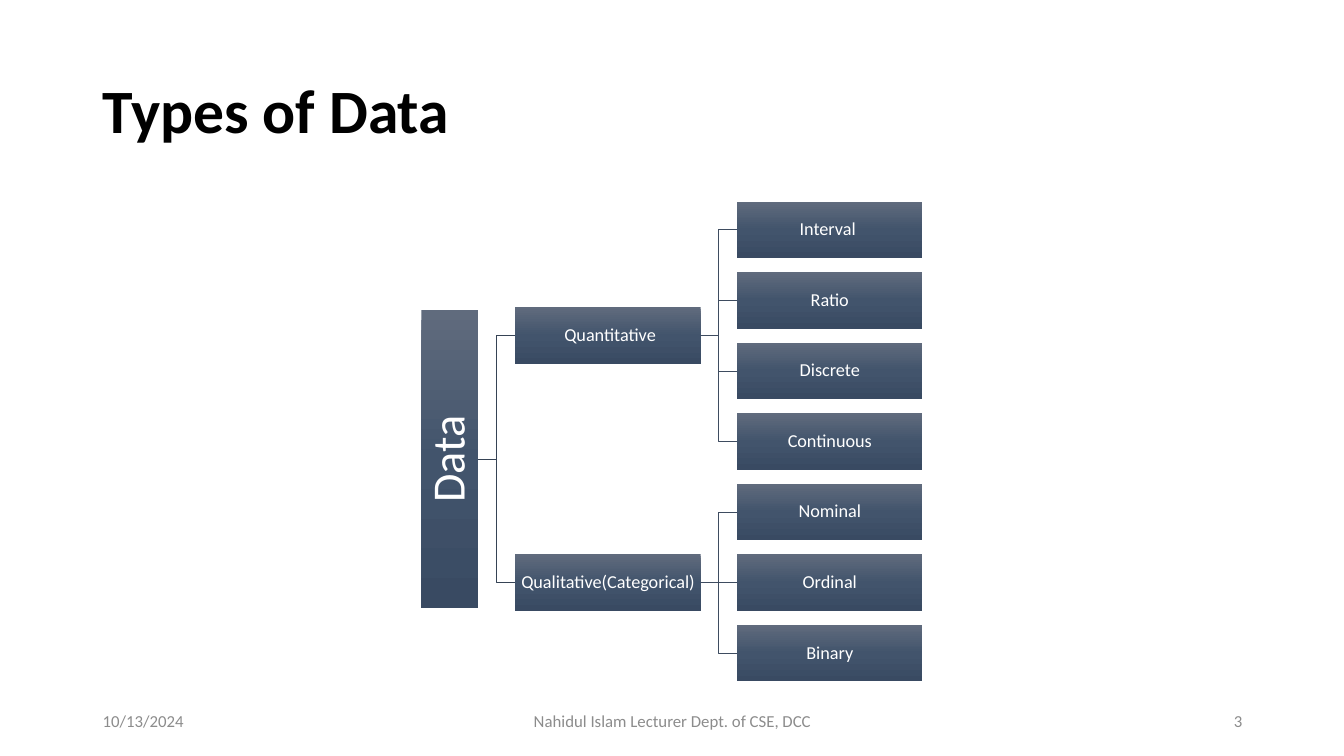
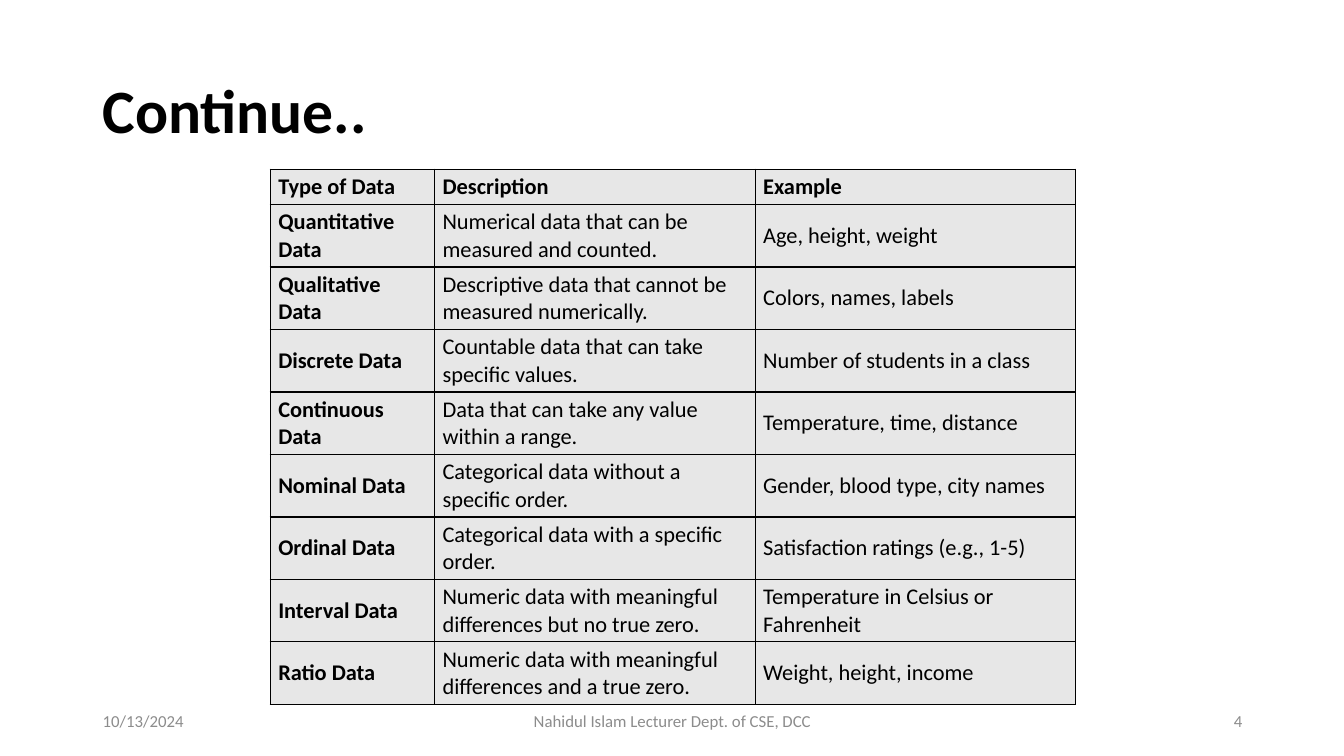
"""Builds two slides on the types of data: a hierarchy and a table of definitions."""

from dataclasses import dataclass

from lxml import etree
from pptx import Presentation
from pptx.dml.color import RGBColor
from pptx.enum.shapes import MSO_CONNECTOR, MSO_SHAPE
from pptx.enum.text import MSO_ANCHOR, PP_ALIGN
from pptx.oxml.ns import qn
from pptx.presentation import Presentation as Deck
from pptx.shapes.autoshape import Shape
from pptx.slide import Slide
from pptx.text.text import TextFrame
from pptx.util import Inches, Pt

RECTANGLE = MSO_SHAPE.RECTANGLE
STRAIGHT, ELBOW = MSO_CONNECTOR.STRAIGHT, MSO_CONNECTOR.ELBOW
MIDDLE = MSO_ANCHOR.MIDDLE
LEFT, CENTER, RIGHT = PP_ALIGN.LEFT, PP_ALIGN.CENTER, PP_ALIGN.RIGHT
LEFT_SIDE, RIGHT_SIDE = 1, 3

BLACK = RGBColor(0x00, 0x00, 0x00)
WHITE = RGBColor(0xFF, 0xFF, 0xFF)
FOOTER_GRAY = RGBColor(0x8C, 0x8C, 0x8C)
CELL_GRAY = RGBColor(0xE7, 0xE7, 0xE7)
ROOT_LINE = RGBColor(0x36, 0x43, 0x55)
BRANCH_LINE = RGBColor(0x3E, 0x4C, 0x60)
BOX_GRADIENT = (
    (0, RGBColor(0x60, 0x6B, 0x7D)),
    (50, RGBColor(0x42, 0x54, 0x6C)),
    (100, RGBColor(0x39, 0x4A, 0x62)),
)

FONT = "Calibri"
BLANK_LAYOUT = 6
DATE = "10/13/2024"
AUTHOR = "Nahidul Islam Lecturer Dept. of CSE, DCC"

BOX_WIDTH, BOX_HEIGHT = 1.84, 0.56
ROOT_LEFT, BRANCH_LEFT, LEAF_LEFT = 4.18, 5.11, 7.31
ROOT_HEIGHT = 2.95
LEAF_TOP, LEAF_STEP = 2.0, 0.7

COLUMN_WIDTHS = (1.63, 3.18, 3.18)
HEADER_HEIGHT, ROW_HEIGHT = 0.35, 0.62
TABLE_ROWS = (
    ("Type of Data", "Description", "Example"),
    ("Quantitative Data", "Numerical data that can be measured and counted.",
     "Age, height, weight"),
    ("Qualitative Data", "Descriptive data that cannot be measured numerically.",
     "Colors, names, labels"),
    ("Discrete Data", "Countable data that can take specific values.",
     "Number of students in a class"),
    ("Continuous Data", "Data that can take any value within a range.",
     "Temperature, time, distance"),
    ("Nominal Data", "Categorical data without a specific order.",
     "Gender, blood type, city names"),
    ("Ordinal Data", "Categorical data with a specific order.",
     "Satisfaction ratings (e.g., 1-5)"),
    ("Interval Data", "Numeric data with meaningful differences but no true zero.",
     "Temperature in Celsius or Fahrenheit"),
    ("Ratio Data", "Numeric data with meaningful differences and a true zero.",
     "Weight, height, income"),
)


@dataclass(frozen=True)
class TextStyle:
    size: float
    color: RGBColor
    bold: bool = False
    align: PP_ALIGN = LEFT
    line_spacing: float = 1.0


@dataclass(frozen=True)
class Branch:
    label: str
    leaves: tuple[str, ...]


TITLE_STYLE = TextStyle(44, BLACK, bold=True, line_spacing=0.9)
ROOT_STYLE = TextStyle(33, WHITE, align=CENTER, line_spacing=0.9)
BOX_STYLE = TextStyle(13, WHITE, align=CENTER, line_spacing=0.9)
CELL_STYLE = TextStyle(16, BLACK)
HEADING_STYLE = TextStyle(16, BLACK, bold=True)

BRANCHES = (
    Branch(" Quantitative", ("Interval ", "Ratio", "Discrete", "Continuous")),
    Branch("Qualitative(Categorical)", ("Nominal", "Ordinal", "Binary")),
)


def write_text(frame: TextFrame, text: str, style: TextStyle) -> None:
    frame.word_wrap = True
    paragraph = frame.paragraphs[0]
    paragraph.alignment = style.align
    paragraph.line_spacing = style.line_spacing
    run = paragraph.add_run()
    run.text = text
    run.font.name = FONT
    run.font.size = Pt(style.size)
    run.font.bold = style.bold
    run.font.color.rgb = style.color


def add_text(slide: Slide, left: float, top: float, width: float, height: float,
             text: str, style: TextStyle) -> None:
    shape = slide.shapes.add_textbox(
        Inches(left), Inches(top), Inches(width), Inches(height))
    shape.text_frame.vertical_anchor = MIDDLE
    write_text(shape.text_frame, text, style)


def add_page(presentation: Deck, title: str, number: int) -> Slide:
    slide = presentation.slides.add_slide(presentation.slide_layouts[BLANK_LAYOUT])
    add_text(slide, 0.92, 0.4, 11.5, 1.45, title, TITLE_STYLE)
    for left, width, text, align in (
        (0.92, 3, DATE, LEFT),
        (4.42, 4.5, AUTHOR, CENTER),
        (9.42, 3, str(number), RIGHT),
    ):
        add_text(slide, left, 6.95, width, 0.4, text,
                 TextStyle(12, FOOTER_GRAY, align=align))
    return slide


def fill_gradient(shape: Shape) -> None:
    shape.fill.gradient()
    shape.fill.gradient_angle = 270
    stops = next(shape.element.iter(qn("a:gsLst")))
    for stop in list(stops):
        stops.remove(stop)
    for position, color in BOX_GRADIENT:
        stop = etree.SubElement(stops, qn("a:gs"), pos=str(position * 1000))
        etree.SubElement(stop, qn("a:srgbClr"), val=str(color))


def add_box(slide: Slide, left: float, center: float, width: float, height: float,
            text: str, style: TextStyle, inset: float = 0.01) -> Shape:
    shape = slide.shapes.add_shape(
        RECTANGLE, Inches(left), Inches(center - height / 2),
        Inches(width), Inches(height))
    shape.shadow.inherit = False
    shape.line.fill.background()
    fill_gradient(shape)
    frame = shape.text_frame
    frame.vertical_anchor = MIDDLE
    frame.margin_left = frame.margin_right = Inches(inset)
    frame.margin_top = frame.margin_bottom = Inches(inset)
    write_text(frame, text, style)
    return shape


def connect(slide: Slide, parent: Shape, child: Shape, color: RGBColor) -> None:
    offset = parent.top + parent.height // 2 - child.top - child.height // 2
    kind = STRAIGHT if abs(offset) < Inches(0.01) else ELBOW
    connector = slide.shapes.add_connector(kind, 0, 0, 0, 0)
    connector.begin_connect(parent, RIGHT_SIDE)
    connector.end_connect(child, LEFT_SIDE)
    connector.line.color.rgb = color
    connector.line.width = Pt(0.5)
    etree.SubElement(connector.element.spPr, qn("a:effectLst"))


def add_hierarchy(slide: Slide) -> None:
    leaf_center = LEAF_TOP + BOX_HEIGHT / 2
    branch_boxes = []
    branch_centers = []
    for branch in BRANCHES:
        centers = [leaf_center + LEAF_STEP * index for index in range(len(branch.leaves))]
        leaf_center = centers[-1] + LEAF_STEP
        branch_center = (centers[0] + centers[-1]) / 2
        branch_box = add_box(slide, BRANCH_LEFT, branch_center, BOX_WIDTH, BOX_HEIGHT,
                             branch.label, BOX_STYLE)
        for label, center in zip(branch.leaves, centers):
            leaf_box = add_box(slide, LEAF_LEFT, center, BOX_WIDTH, BOX_HEIGHT,
                               label, BOX_STYLE)
            connect(slide, branch_box, leaf_box, BRANCH_LINE)
        branch_boxes.append(branch_box)
        branch_centers.append(branch_center)
    root_center = sum(branch_centers) / len(branch_centers)
    root_box = add_box(slide, ROOT_LEFT, root_center, BOX_HEIGHT, ROOT_HEIGHT,
                       "Data", ROOT_STYLE, inset=0.02)
    root_box.element.txBody.bodyPr.set("vert", "vert270")
    for branch_box in branch_boxes:
        connect(slide, root_box, branch_box, ROOT_LINE)


def add_definitions(slide: Slide) -> None:
    row_heights = [HEADER_HEIGHT] + [ROW_HEIGHT] * (len(TABLE_ROWS) - 1)
    graphic_frame = slide.shapes.add_table(
        len(TABLE_ROWS), len(COLUMN_WIDTHS), Inches(2.68), Inches(1.68),
        Inches(sum(COLUMN_WIDTHS)), Inches(sum(row_heights)))
    table = graphic_frame.table
    table.horz_banding = False
    for column, width in zip(table.columns, COLUMN_WIDTHS):
        column.width = Inches(width)
    for row, height in zip(table.rows, row_heights):
        row.height = Inches(height)
    for row_index, texts in enumerate(TABLE_ROWS):
        for column_index, text in enumerate(texts):
            cell = table.cell(row_index, column_index)
            cell.vertical_anchor = MIDDLE
            cell.margin_left = cell.margin_right = Inches(0.08)
            cell.margin_top = cell.margin_bottom = Inches(0.04)
            cell.fill.solid()
            cell.fill.fore_color.rgb = CELL_GRAY
            is_heading = row_index == 0 or column_index == 0
            write_text(cell.text_frame, text,
                       HEADING_STYLE if is_heading else CELL_STYLE)
    for properties in graphic_frame.element.iter(qn("a:tcPr")):
        for index, side in enumerate(("a:lnL", "a:lnR", "a:lnT", "a:lnB")):
            border = etree.Element(qn(side), w=str(Pt(1)))
            fill = etree.SubElement(border, qn("a:solidFill"))
            etree.SubElement(fill, qn("a:srgbClr"), val=str(BLACK))
            properties.insert(index, border)


def main() -> None:
    presentation = Presentation()
    presentation.slide_width = Inches(13.33)
    presentation.slide_height = Inches(7.5)
    add_hierarchy(add_page(presentation, "Types of Data", 3))
    add_definitions(add_page(presentation, "Continue..", 4))
    presentation.save("out.pptx")


if __name__ == "__main__":
    main()
